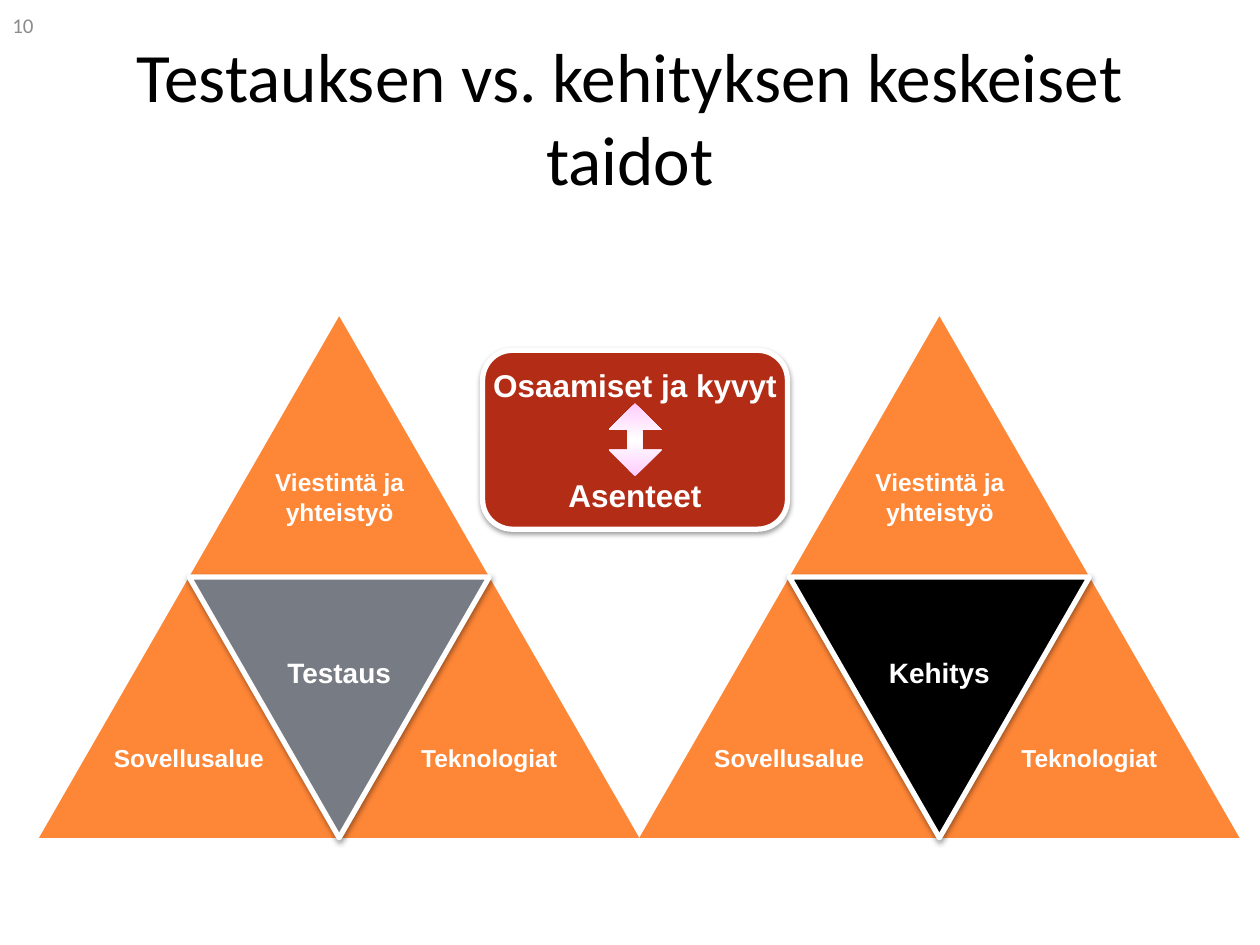
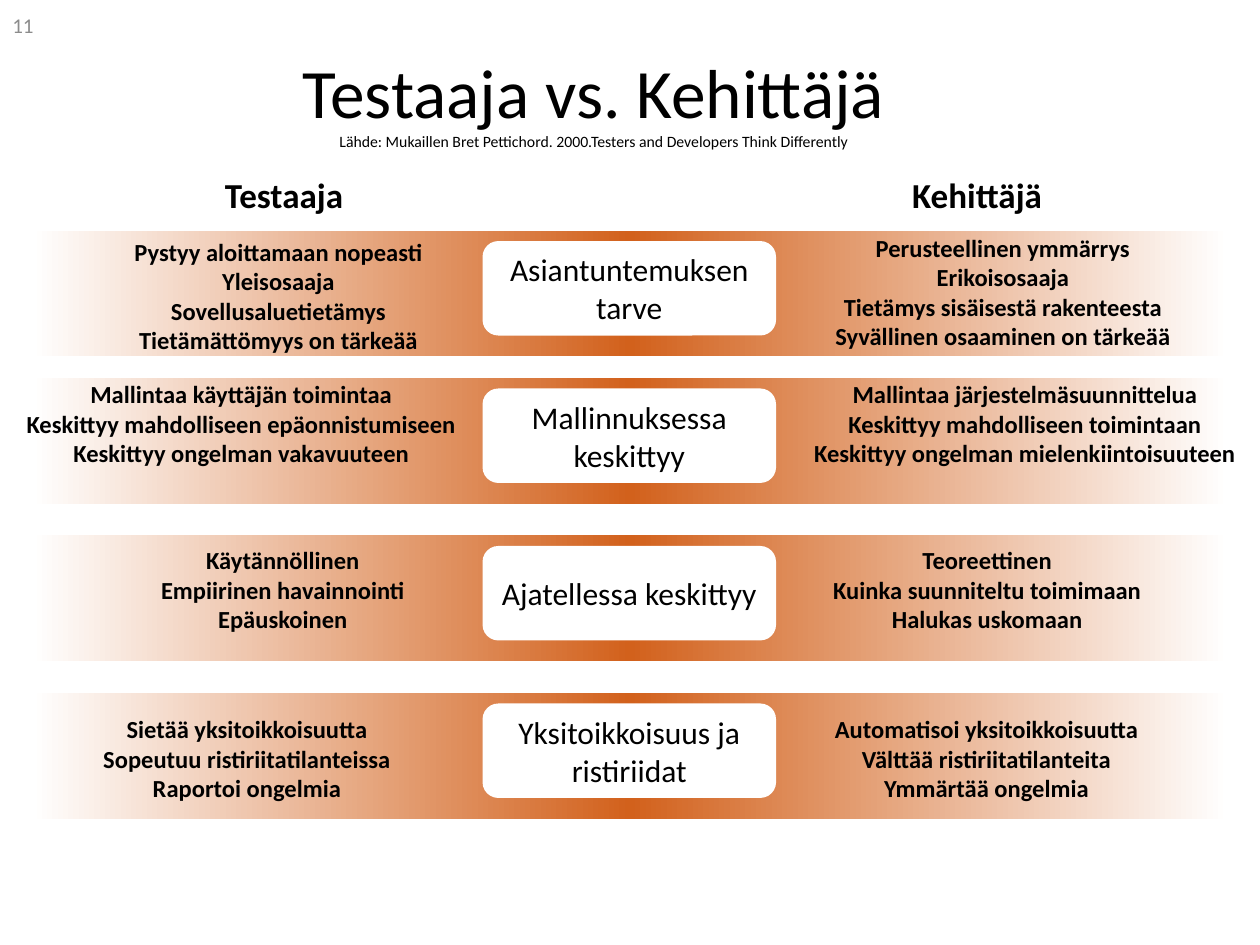
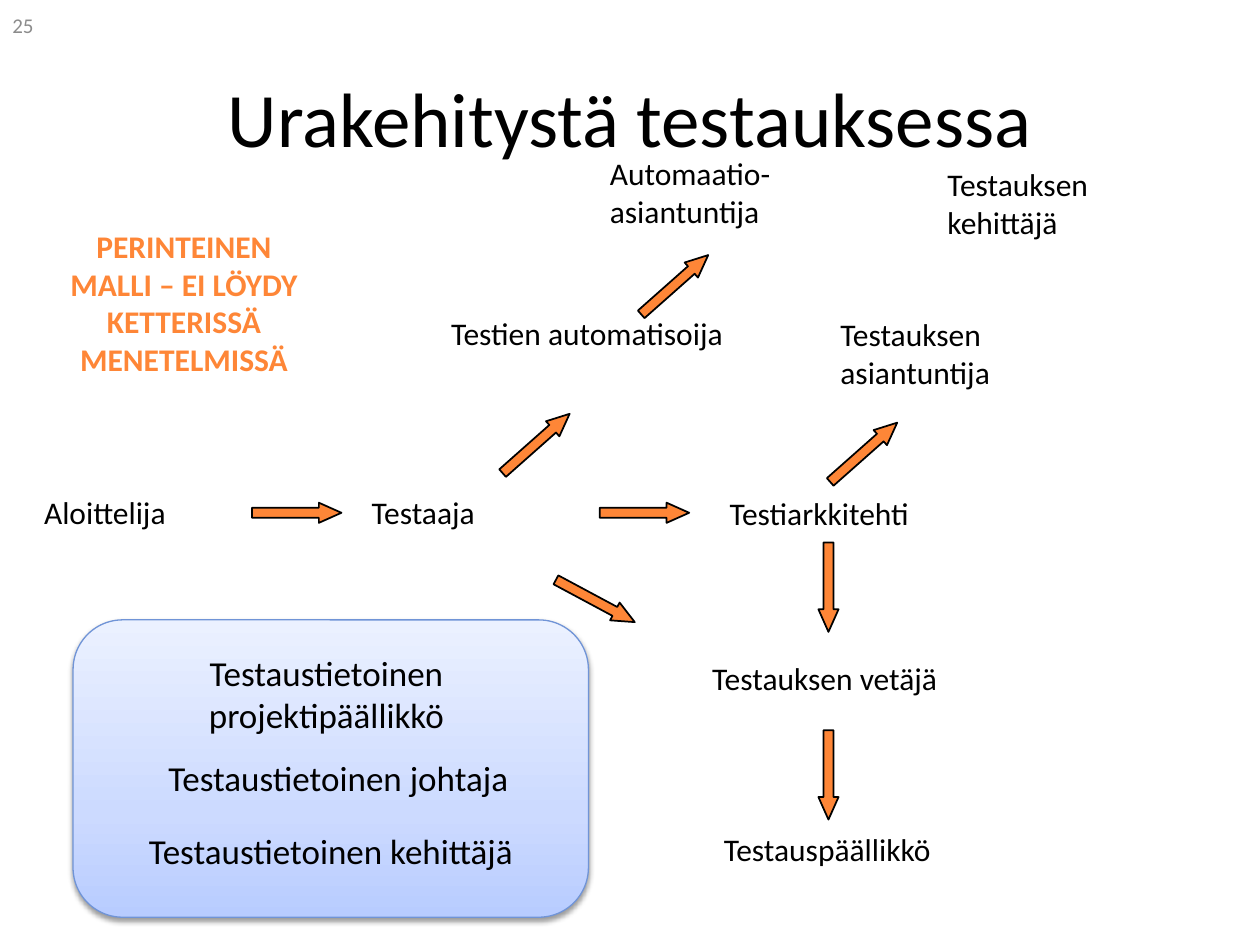
from lxml.etree import SubElement as Sub
from pptx import Presentation
from pptx.dml.color import RGBColor as Rgb
from pptx.enum.shapes import MSO_SHAPE as Kind
from pptx.enum.text import MSO_ANCHOR as Anchor, PP_ALIGN as Align
from pptx.oxml.ns import qn
from pptx.util import Inches, Pt

HUES = {
    "black": "000000", "white": "FFFFFF", "page": "8C8C8C",
    "orange": "FE8637", "slate": "777C84", "red": "B32C16",
    "rust": "D2611C", "pink": "FFCCFF", "edge": "7094D7",
    "deep": "B8CCFF", "mid": "CCDAFF", "pale": "EBF1FF",
}

deck = Presentation()
deck.slide_width, deck.slide_height = Inches(10), Inches(7.5)
UNIT = deck.slide_width // 100  # a grid of 100 columns by 75 rows
HEAD = (5, 3, 90, 12.5)
FLAT = (0, 0, 1, 0.5)


def form(shapes, kind, box, fill, line=None, width=1, angle=0, adj=(), lift=False):
    """Draw a shape; fill is a hue, or a list of (percent, hue) stops."""
    item = shapes.add_shape(kind, *(round(n * UNIT) for n in box))
    item.shadow.inherit = False
    for i, share in enumerate(adj):
        item.adjustments[i] = share
    if isinstance(fill, str):
        item.fill.solid()
        item.fill.fore_color.rgb = Rgb.from_string(HUES[fill])
    else:
        item.fill.gradient()
        item.fill.gradient_angle = -angle % 360
        stops = item._element.spPr.find(qn("a:gradFill")).find(qn("a:gsLst"))
        for old in list(stops):
            stops.remove(old)
        for spot, hue in fill:
            stop = Sub(stops, qn("a:gs"), pos=str(spot * 1000))
            Sub(stop, qn("a:srgbClr"), val=HUES[hue])
    if line:
        item.line.color.rgb = Rgb.from_string(HUES[line])
        item.line.width = Pt(width)
    else:
        item.line.fill.background()
    if lift:
        glow = Sub(item._element.spPr.find(qn("a:effectLst")), qn("a:outerShdw"),
                   blurRad=str(Pt(3.1)), dist=str(Pt(1.6)), dir="5400000",
                   rotWithShape="0")
        tint = Sub(glow, qn("a:srgbClr"), val=HUES["black"])
        Sub(tint, qn("a:alpha"), val="38000")
    return item


def put(shapes, words, box=None, item=None, size=18, font="Calibri", hue="black",
        bold=False, align=Align.CENTER, anchor=Anchor.TOP, wrap=True,
        pad=(1, 0.5, 1, 0.5), gap=0):
    """Write lines into a shape, or into a new text box; pad is left, top, right, bottom."""
    item = item or shapes.add_textbox(*(round(n * UNIT) for n in box))
    frame = item.text_frame
    frame.word_wrap, frame.vertical_anchor = wrap, anchor
    (frame.margin_left, frame.margin_top,
     frame.margin_right, frame.margin_bottom) = (round(n * UNIT) for n in pad)
    frame.text = words
    for i, par in enumerate(frame.paragraphs):
        par.alignment = align
        if i and gap:
            par.space_before = Pt(gap)
        for run in par.runs:
            run.font.size, run.font.name, run.font.bold = Pt(size), font, bold
            run.font.color.rgb = Rgb.from_string(HUES[hue])
    return item


pages = []
for number in (10, 11, 25):
    page = deck.slides.add_slide(deck.slide_layouts[6]).shapes
    put(page, str(number), (0, 0, 23.3, 4), size=12, hue="page",
        align=Align.LEFT, anchor=Anchor.MIDDLE)
    pages.append(page)
skills, duel, career = pages

# Skills: two pyramids and the box between them
put(skills, "Testauksen vs. kehityksen keskeiset taidot", HEAD, size=39.6,
    anchor=Anchor.MIDDLE)
label = dict(font="Arial", hue="white", bold=True)
inner = dict(label, anchor=Anchor.MIDDLE, wrap=False)
WIDE, TALL, TOP = 23.82, 20.7, 25.1
for i, (role, hue) in enumerate([("Testaus", "slate"), ("Kehitys", "black")]):
    left = 3.1 + i * 2 * WIDE
    base, core = TOP + TALL, left + WIDE / 2
    group = skills.add_group_shape().shapes
    for j, word in enumerate(["Sovellusalue", "Teknologiat"]):
        side = form(group, Kind.FLOWCHART_EXTRACT,
                    (left + j * WIDE, base, WIDE, TALL), "orange")
        put(group, word, item=side, size=14, pad=(1, 0.5, 1, 2.8), **inner)
    form(group, Kind.FLOWCHART_EXTRACT, (core, TOP, WIDE, TALL), "orange")
    heart = form(group, Kind.FLOWCHART_MERGE, (core, base, WIDE, TALL), hue,
                 line="white", width=3, lift=True)
    put(group, role, item=heart, size=16, pad=(1, 5.2, 1, 0.5), **inner)
    put(group, "Viestintä ja yhteistyö", (core + 2.35, 36.6, 19.2, 5.7),
        size=14, **label)
panel = form(skills, Kind.ROUNDED_RECTANGLE, (38.3, 27.8, 24.2, 14.2), "red",
             line="white", width=3, adj=[0.167], lift=True)
put(skills, "Osaamiset ja kyvyt\nAsenteet", item=panel, gap=41.4, **inner)
form(skills, Kind.UP_DOWN_ARROW, (48.3, 32, 4.2, 5.8),
     [(0, "pink"), (50, "white"), (100, "pink")], angle=90, adj=[0.5, 0.28])

# Duel: tester against developer, one band for each theme
title = put(duel, "Testaaja vs. Kehittäjä\nLähde: Mukaillen Bret Pettichord. "
            "2000.Testers and Developers Think Differently",
            (6.7, 5.1, 80.8, 5.7), size=39.6, anchor=Anchor.MIDDLE)
title.text_frame.paragraphs[1].runs[0].font.size = Pt(9)
for left, role in [(6.7, "Testaaja"), (61.7, "Kehittäjä")]:
    put(duel, role, (left, 13.3, 31.7, 4.3), size=20, bold=True)

bands = [
    (18.3, "Asiantuntemuksen tarve",
     (2.5, 18.3, 39.2, 10.3), "Pystyy aloittamaan nopeasti\nYleisosaaja\n"
     "Sovellusaluetietämys\nTietämättömyys on tärkeää",
     (62.5, 18, 34.2, 10.3), "Perusteellinen ymmärrys\nErikoisosaaja\n"
     "Tietämys sisäisestä rakenteesta\nSyvällinen osaaminen on tärkeää"),
    (30, "Mallinnuksessa keskittyy",
     (0, 29.6, 38.3, 10.3), "Mallintaa käyttäjän toimintaa\n"
     "Keskittyy mahdolliseen epäonnistumiseen\nKeskittyy ongelman vakavuuteen",
     (63, 29.6, 36.7, 10.3), "Mallintaa järjestelmäsuunnittelua\n"
     "Keskittyy mahdolliseen toimintaan\nKeskittyy ongelman mielenkiintoisuuteen"),
    (42.5, "Ajatellessa keskittyy",
     (8.3, 42.8, 28.3, 8), "Käytännöllinen\nEmpiirinen havainnointi\nEpäuskoinen",
     (59.2, 42.8, 38.3, 8), "Teoreettinen\nKuinka suunniteltu toimimaan\n"
     "Halukas uskomaan"),
    (55, "Yksitoikkoisuus ja ristiriidat",
     (4.2, 56.2, 30.8, 8), "Sietää yksitoikkoisuutta\n"
     "Sopeutuu ristiriitatilanteissa\nRaportoi ongelmia",
     (63.3, 56.2, 30, 8), "Automatisoi yksitoikkoisuutta\n"
     "Välttää ristiriitatilanteita\nYmmärtää ongelmia"),
]
for top, theme, west, tester, east, coder in bands:
    form(duel, Kind.RECTANGLE, (2.5, top, 95, 10),
         [(0, "white"), (50, "rust"), (100, "white")])
    plate = form(duel, Kind.ROUNDED_RECTANGLE, (38.3, top + 0.83, 23.3, 7.5),
                 "white", adj=[0.167])
    put(duel, theme, item=plate, anchor=Anchor.MIDDLE)
    for box, traits in [(west, tester), (east, coder)]:
        put(duel, traits, box, size=14, bold=True)

# Career: roles, arrows between them and the box of related roles
form(career, Kind.ROUNDED_RECTANGLE, (5.8, 49.2, 40.9, 23.6),
     [(0, "deep"), (35, "mid"), (100, "pale")], line="edge", width=0.75,
     angle=270, adj=[0.167], lift=True)
put(career, "Urakehitystä testauksessa", HEAD, size=44, anchor=Anchor.MIDDLE)

snug = (0, 0, 1, 0.5)
for role, box, align in [
    ("Aloittelija", (3.5, 39.1, 19.7, 4.5), Align.LEFT),
    ("Testaaja", (29.5, 39.1, 19.7, 4.5), Align.LEFT),
    ("Testiarkkitehti", (57.9, 39.2, 26.8, 4.5), Align.LEFT),
    ("Testauksen vetäjä", (56.1, 52.3, 19.7, 3.5), Align.CENTER),
    ("Testauspäällikkö", (56.3, 65.9, 19.7, 3.5), Align.CENTER),
    ("Testauksen asiantuntija", (66.7, 25, 19.7, 8.5), Align.LEFT),
    ("Testien automatisoija", (35.8, 24.9, 24.4, 8.5), Align.LEFT),
    ("Automaatio-asiantuntija", (48.4, 12.2, 19.7, 8.5), Align.LEFT),
    ("Testauksen kehittäjä", (75.2, 13.1, 19.7, 8.5), Align.LEFT),
]:
    put(career, role, box, align=align, pad=snug)

RISE = 318.5
for left, top, turn in [
    (20, 39.9, 0), (47.6, 39.9, 0), (43.7, 46.9, 28.2),
    (62.2, 60.7, 90), (62.2, 45.8, 90),
    (39, 34.4, RISE), (65, 35.1, RISE), (50, 21.8, RISE),
]:
    arrow = form(career, Kind.RIGHT_ARROW, (left, top, 7.1, 1.6), "orange",
                 line="black", adj=[0.5, 1.12])
    arrow.rotation = turn

for role, box in [
    ("Testaustietoinen projektipäällikkö", (7.5, 51.7, 37.8, 7.2)),
    ("Testaustietoinen johtaja", (6.7, 60, 41.3, 3.9)),
    ("Testaustietoinen kehittäjä", (3.5, 65.8, 46.5, 3.9)),
]:
    put(career, role, box, size=20, pad=snug)
put(career, "PERINTEINEN MALLI – EI LÖYDY KETTERISSÄ MENETELMISSÄ",
    (4.2, 17.5, 20.8, 13.1), hue="orange", bold=True)

deck.save("out.pptx")
